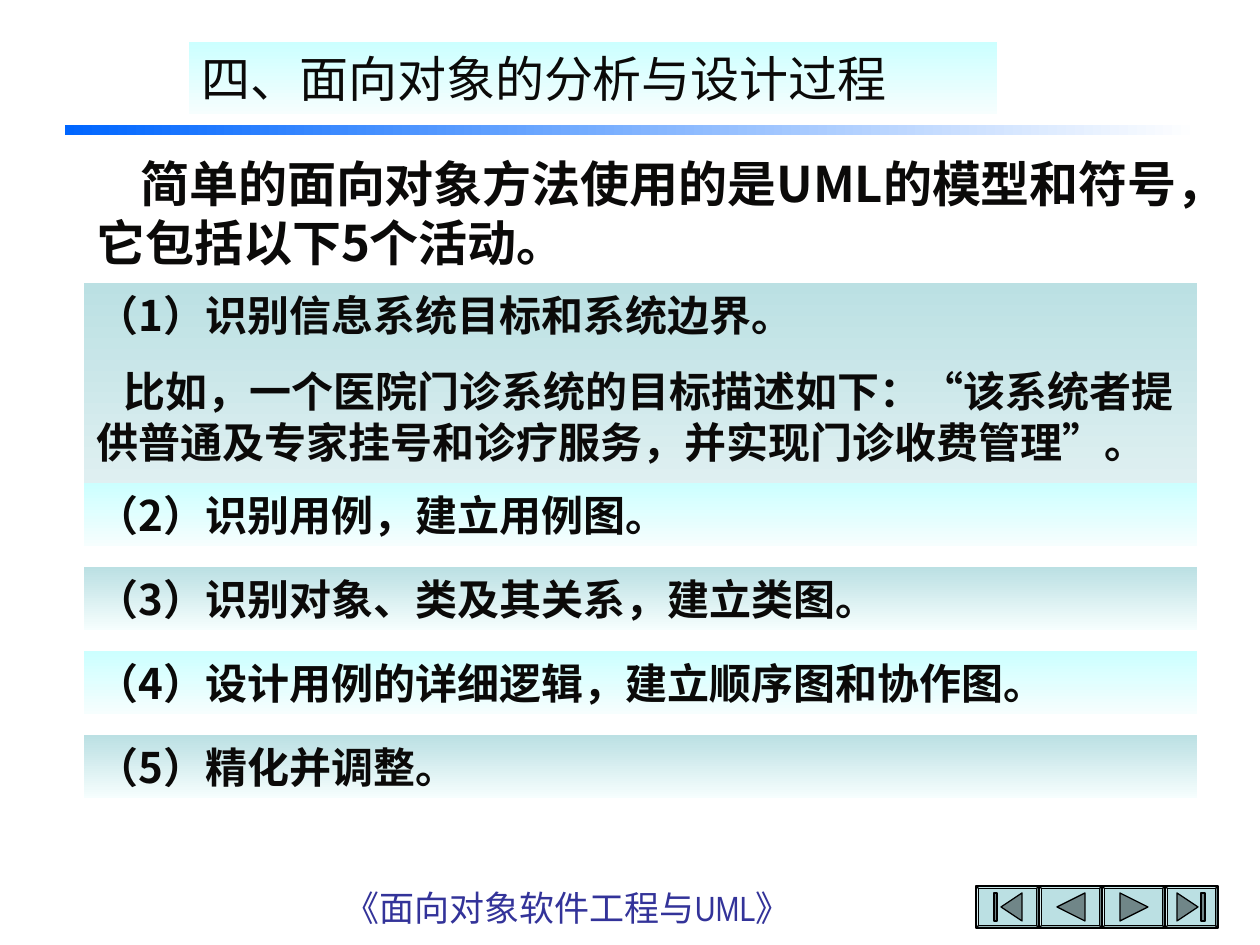
"""Build the slide on the object-oriented analysis and design process."""
from dataclasses import dataclass

from lxml import etree
from pptx import Presentation
from pptx.dml.color import RGBColor
from pptx.enum.shapes import MSO_SHAPE
from pptx.enum.text import MSO_ANCHOR, MSO_AUTO_SIZE, PP_ALIGN
from pptx.oxml.ns import qn
from pptx.util import Emu, Pt

RECTANGLE, BEVEL = MSO_SHAPE.RECTANGLE, MSO_SHAPE.BEVEL
TOP, NO_FIT = MSO_ANCHOR.TOP, MSO_AUTO_SIZE.NONE
LEFT, CENTER = PP_ALIGN.LEFT, PP_ALIGN.CENTER
EMU_PER_PX = 914400 / 126


@dataclass(frozen=True)
class Theme:
    """Colours, fonts and type sizes of the slide."""
    ink: str = "0B0A09"
    footer: str = "333399"
    cyan: str = "CCFFFF"
    teal: str = "BBE0E3"
    pale: str = "F6FEFE"
    pale_teal: str = "E6F3F4"
    blue: str = "0066FF"
    white: str = "FFFFFF"
    black: str = "000000"
    icon: str = "708688"
    font: str = "Noto Sans CJK SC"
    footer_font: str = "Arial Narrow"
    heading_size: int = 28
    body_size: int = 24
    footer_size: int = 20


@dataclass(frozen=True)
class Frame:
    """A rectangle in px."""
    left: int
    top: int
    width: int
    height: int

    def emu(self) -> list[Emu]:
        """Return the four lengths in EMU."""
        return [px(n) for n in (self.left, self.top, self.width, self.height)]


@dataclass(frozen=True)
class Activity:
    """A band holding one activity, with paragraphs and first-line indents."""
    top: int
    height: int
    start: str
    end: str
    lines: tuple[str, ...]
    indents: tuple[int, ...] = (0,)


@dataclass(frozen=True)
class Button:
    """A navigation button with icon outlines relative to its corner."""
    left: int
    width: int
    outlines: tuple[tuple[tuple[int, int], ...], ...]


THEME = Theme()
ACTIVITIES = (
    Activity(283, 241, THEME.teal, THEME.pale_teal, (
        "（1）识别信息系统目标和系统边界。",
        "比如，一个医院门诊系统的目标描述如下：“该系统者提供普通及专家挂号和诊疗服务，并实现门诊收费管理”。",
    ), (0, 27)),
    Activity(483, 63, THEME.cyan, THEME.pale, ("（2）识别用例，建立用例图。",)),
    Activity(567, 63, THEME.teal, THEME.pale, ("（3）识别对象、类及其关系，建立类图。",)),
    Activity(651, 63, THEME.cyan, THEME.pale, ("（4）设计用例的详细逻辑，建立顺序图和协作图。",)),
    Activity(735, 63, THEME.teal, THEME.pale, ("（5）精化并调整。",)),
)
BUTTONS = (
    Button(976, 63, (((25, 21), (46, 7), (46, 35)), ((18, 7), (21, 7), (21, 35), (18, 35)))),
    Button(1039, 63, (((18, 21), (46, 7), (46, 35)),)),
    Button(1102, 63, (((18, 7), (46, 21), (18, 35)),)),
    Button(1165, 53, (((33, 21), (12, 35), (12, 7)), ((36, 7), (40, 7), (40, 35), (36, 35)))),
)


def px(length: int) -> Emu:
    """Turn px into EMU."""
    return Emu(round(length * EMU_PER_PX))


def color(value: str) -> RGBColor:
    """Turn a hex string into a colour."""
    return RGBColor.from_string(value)


def fill_gradient(shape, start: str, end: str, angle: int = 270) -> None:
    """Fill a shape from start to end along a counter-clockwise angle."""
    shape.fill.gradient()
    shape.fill.gradient_angle = angle
    for stop, value in zip(shape.fill.gradient_stops, (start, end)):
        stop.color.rgb = color(value)


def write(shape, lines: tuple[str, ...], size: int, bold: bool = True,
          indents: tuple[int, ...] = (0,), value: str = THEME.ink,
          font: str = THEME.font, align=LEFT, spacing=1.0) -> None:
    """Set and format the paragraphs of a shape."""
    text = shape.text_frame
    text.word_wrap, text.auto_size, text.vertical_anchor = True, NO_FIT, TOP
    text.text = "\n".join(lines)
    for index, (para, indent) in enumerate(zip(text.paragraphs, indents)):
        para.alignment, para.line_spacing = align, spacing
        para.space_before = Pt(15 if index else 0)
        para._p.get_or_add_pPr().set("indent", str(px(indent)))
        for span in para.runs:
            span.font.size, span.font.bold, span.font.name = Pt(size), bold, font
            span.font.color.rgb = color(value)
            east = etree.SubElement(span.font._element, qn("a:ea"))
            east.set("typeface", THEME.font)


def add_band(page, frame: Frame, start: str, end: str, angle: int = 270):
    """Add a borderless gradient rectangle."""
    band = page.shapes.add_shape(RECTANGLE, *frame.emu())
    band.shadow.inherit = False
    band.line.fill.background()
    fill_gradient(band, start, end, angle)
    return band


def paint(shape, value: str) -> None:
    """Give a shape a plain fill and a thin black line."""
    shape.shadow.inherit = False
    shape.fill.solid()
    shape.fill.fore_color.rgb = color(value)
    shape.line.color.rgb = color(THEME.black)
    shape.line.width = Pt(0.75)


def add_button(page, button: Button, top: int = 886, height: int = 42) -> None:
    """Add a bevelled button and its icon."""
    frame = Frame(button.left, top, button.width, height)
    bevel = page.shapes.add_shape(BEVEL, *frame.emu())
    bevel.adjustments[0] = 0.06
    paint(bevel, THEME.teal)
    for outline in button.outlines:
        points = [(button.left + x, top + y) for x, y in outline]
        builder = page.shapes.build_freeform(*points[0], scale=EMU_PER_PX)
        builder.add_line_segments(points[1:], close=True)
        paint(builder.convert_to_shape(), THEME.icon)


def main() -> None:
    """Build and save the deck."""
    deck = Presentation()
    deck.slide_width, deck.slide_height = px(1260), px(945)
    page = deck.slides.add_slide(deck.slide_layouts[5])
    add_band(page, Frame(65, 125, 1134, 10), THEME.blue, THEME.white, 0)
    for button in BUTTONS:
        add_button(page, button)
    footer = page.shapes.add_textbox(*Frame(305, 872, 525, 63).emu())
    write(footer, ("《面向对象软件工程与UML》",), THEME.footer_size, False, value=THEME.footer,
          font=THEME.footer_font, align=CENTER, spacing=1.2)
    title = page.shapes.title
    title.left, title.top, title.width, title.height = Frame(189, 42, 808, 72).emu()
    fill_gradient(title, THEME.cyan, THEME.pale)
    write(title, ("四、面向对象的分析与设计过程",), THEME.heading_size, False)
    intro = page.shapes.add_textbox(*Frame(84, 147, 1113, 131).emu())
    write(intro, ("简单的面向对象方法使用的是UML的模型和符号，它包括以下5个活动。",),
          THEME.heading_size, indents=(44,))
    for item in ACTIVITIES:
        band = add_band(page, Frame(84, item.top, 1113, item.height), item.start, item.end)
        write(band, item.lines, THEME.body_size, indents=item.indents)
    deck.save("out.pptx")


if __name__ == "__main__":
    main()
